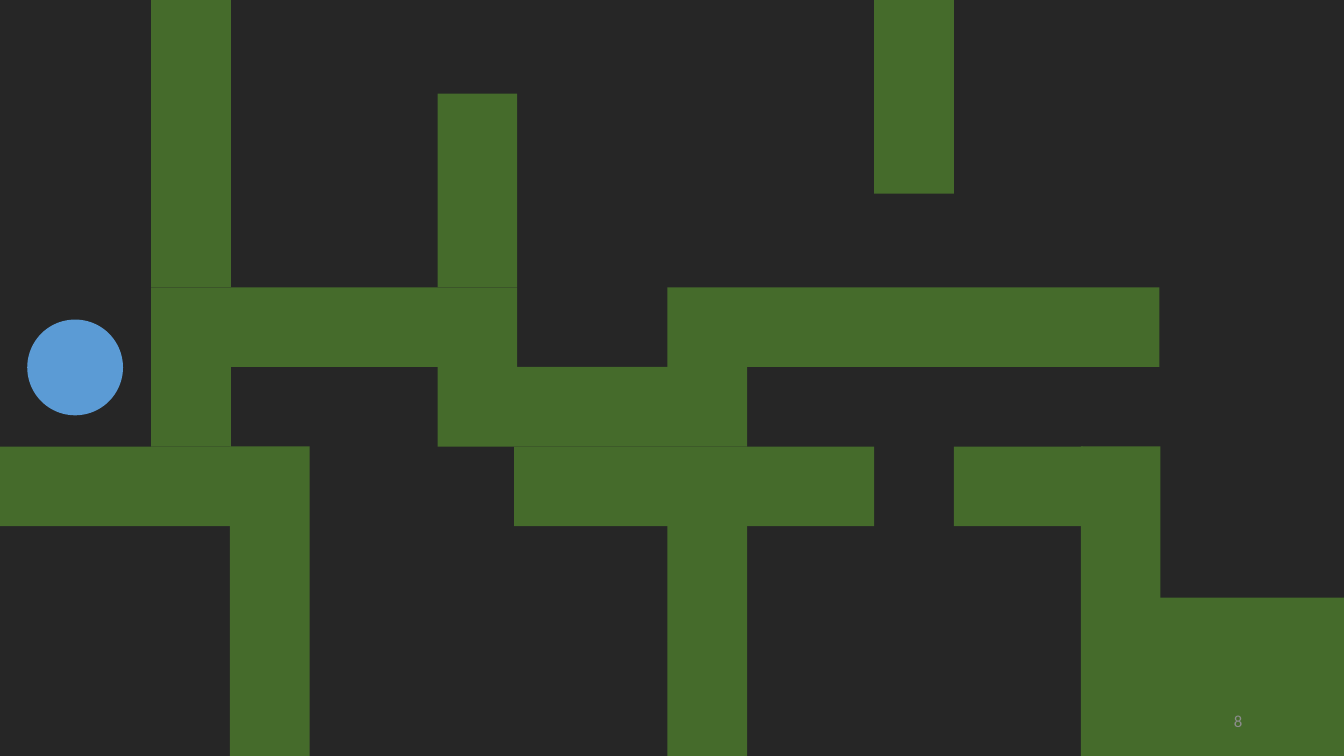
from pptx import Presentation
from pptx import util as u
from pptx.dml import color
from pptx.enum import shapes, text

BACKGROUND = color.RGBColor(0x26, 0x26, 0x26)
WALL_GREEN = color.RGBColor(0x45, 0x6B, 0x2B)
BALL_BLUE = color.RGBColor(0x5B, 0x9B, 0xD5)
NUMBER_GRAY = color.RGBColor(0x8C, 0x8C, 0x8C)

WALL = 0.79
BALL = 0.95

HORIZONTAL_WALLS = [
    (0, 4.43, 2.28),
    (1.5, 2.85, 3.63),
    (4.34, 3.64, 3.07),
    (5.1, 4.43, 3.57),
    (9.46, 4.43, 1.28),
    (6.62, 2.85, 4.88),
    (11.5, 5.93, 1.83),
    (11.5, 6.71, 1.83),
]
VERTICAL_WALLS = [
    (2.28, 4.43, 3.07),
    (1.5, 3.64, 0.79),
    (1.5, 0, 2.85),
    (6.62, 5.18, 1.18),
    (6.62, 6.36, 1.14),
    (10.72, 4.43, 3.07),
    (4.34, 0.93, 1.92),
    (8.67, 0, 1.92),
]


def add_filled_shape(slide, kind, left, top, width, height, fill_color):
    shape = slide.shapes.add_shape(
        kind, u.Inches(left), u.Inches(top), u.Inches(width), u.Inches(height))
    shape.shadow.inherit = False
    shape.fill.solid()
    shape.fill.fore_color.rgb = fill_color
    shape.line.fill.background()


def add_wall(slide, left, top, width=WALL, height=WALL):
    add_filled_shape(slide, shapes.MSO_SHAPE.RECTANGLE,
                     left, top, width, height, WALL_GREEN)


def add_ball(slide, left, top):
    add_filled_shape(slide, shapes.MSO_SHAPE.OVAL,
                     left, top, BALL, BALL, BALL_BLUE)


def add_page_number(slide, number):
    box = slide.shapes.add_textbox(
        u.Inches(9.42), u.Inches(6.95), u.Inches(3), u.Inches(0.4))
    frame = box.text_frame
    frame.word_wrap = True
    frame.vertical_anchor = text.MSO_ANCHOR.MIDDLE
    frame.text = number
    paragraph = frame.paragraphs[0]
    paragraph.alignment = text.PP_ALIGN.RIGHT
    font = paragraph.runs[0].font
    font.name = "Calibri"
    font.size = u.Pt(12)
    font.color.rgb = NUMBER_GRAY


def main():
    presentation = Presentation()
    presentation.slide_width = u.Inches(13.33)
    presentation.slide_height = u.Inches(7.5)
    blank_layout = presentation.slide_layouts[6]
    slide = presentation.slides.add_slide(blank_layout)
    slide.background.fill.solid()
    slide.background.fill.fore_color.rgb = BACKGROUND

    for left, top, length in HORIZONTAL_WALLS:
        add_wall(slide, left, top, width=length)
    for left, top, length in VERTICAL_WALLS:
        add_wall(slide, left, top, height=length)
    add_ball(slide, 0.27, 3.17)
    add_page_number(slide, "8")

    presentation.save("out.pptx")


if __name__ == "__main__":
    main()
